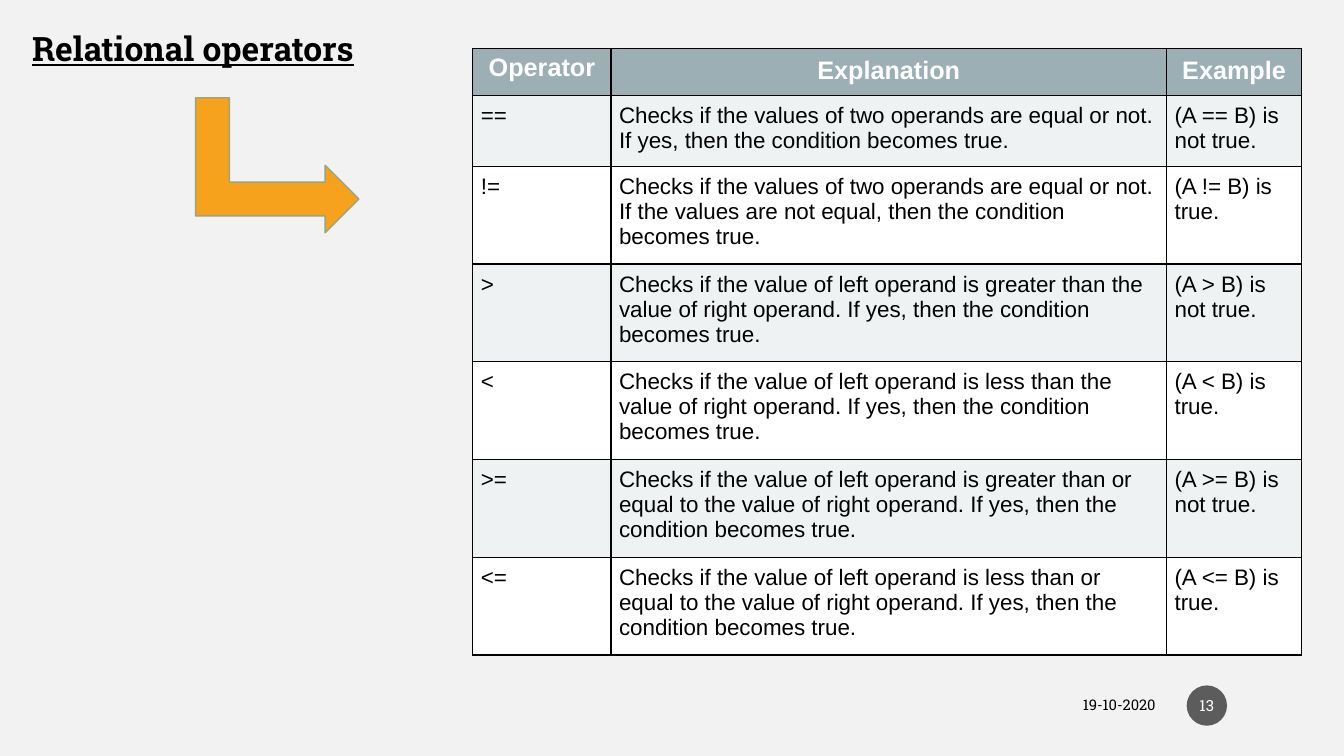
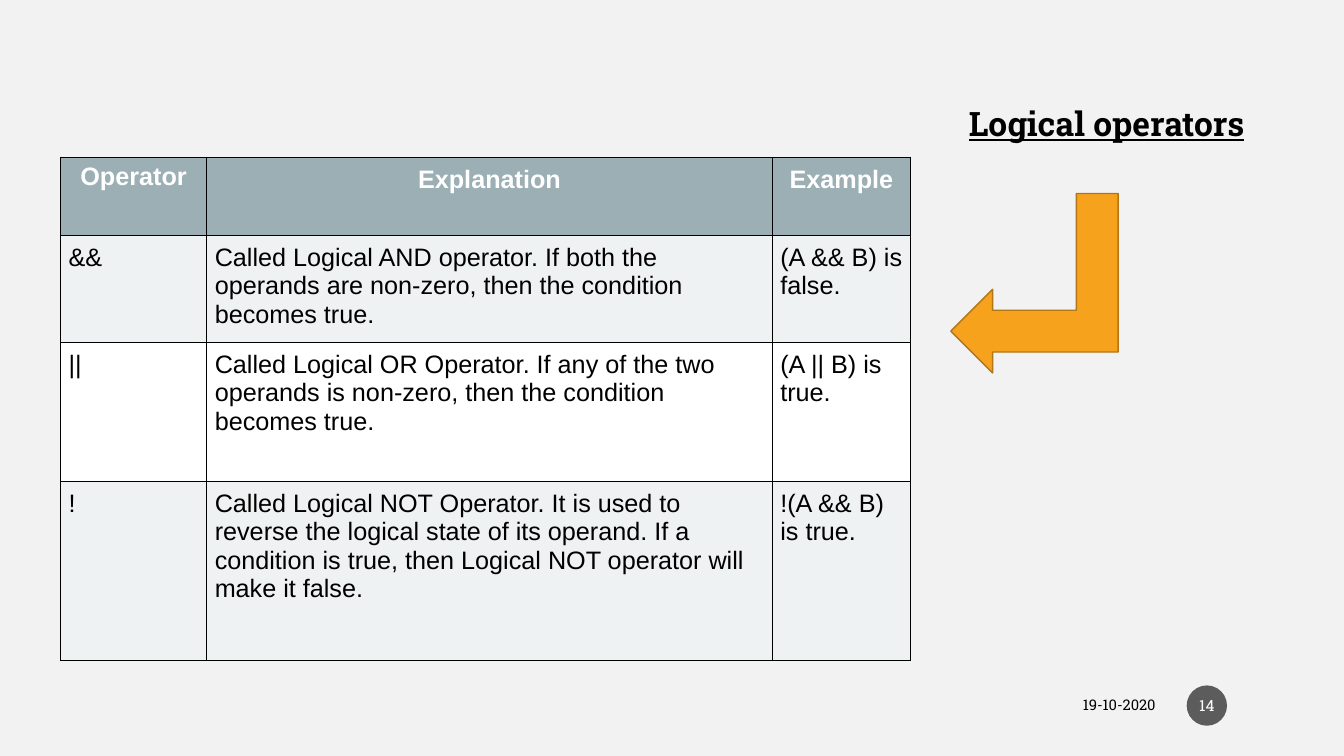
from lxml import etree
from pptx import Presentation
from pptx.dml.color import RGBColor
from pptx.enum.shapes import MSO_SHAPE
from pptx.enum.text import MSO_ANCHOR, PP_ALIGN
from pptx.oxml.ns import qn
from pptx.util import Inches, Pt

# Colours, fonts and enum members
PAPER = RGBColor(0xF2, 0xF2, 0xF2)
BLACK = RGBColor(0x00, 0x00, 0x00)
WHITE = RGBColor(0xFF, 0xFF, 0xFF)
BADGE = RGBColor(0x1D, 0x1D, 0x1D)
HEADER = RGBColor(0x9B, 0xAF, 0xB5)
BAND = RGBColor(0xEF, 0xF2, 0xF2)
ORANGE = RGBColor(0xF6, 0xA2, 0x1D)
SAGE = RGBColor(0x9C, 0xA3, 0x83)
BROWN = RGBColor(0xB3, 0x76, 0x15)
SLAB, SANS = "Roboto Slab", "Arial"
LEFT, CENTER, RIGHT = PP_ALIGN.LEFT, PP_ALIGN.CENTER, PP_ALIGN.RIGHT
TOP, MIDDLE = MSO_ANCHOR.TOP, MSO_ANCHOR.MIDDLE
OVAL = MSO_SHAPE.OVAL
BENT_ARROW, BENT_UP_ARROW = MSO_SHAPE.BENT_ARROW, MSO_SHAPE.BENT_UP_ARROW

HEADINGS = ("Operator", "Explanation", "Example")
DATE = "19-10-2020"


class Deck:
    def __init__(self):
        self.prs = Presentation()
        self.prs.slide_width, self.prs.slide_height = Inches(13.33), Inches(7.5)
        self.s = None

    def slide(self, number):
        self.s = self.prs.slides.add_slide(self.prs.slide_layouts[6])
        fill = self.s.background.fill
        fill.solid()
        fill.fore_color.rgb = PAPER
        self.footer(number)

    def set_text(self, tf, text, size, color, font=SLAB, bold=False, align=LEFT):
        tf.text = text
        p = tf.paragraphs[0]
        p.alignment = align
        f = p.runs[0].font
        f.size, f.name, f.bold = Pt(size), font, bold
        f.color.rgb = color
        return f

    def text(self, x, y, w, h, text, size, anchor=TOP, **style):
        tf = self.s.shapes.add_textbox(*map(Inches, (x, y, w, h))).text_frame
        tf.word_wrap = True
        tf.vertical_anchor = anchor
        return self.set_text(tf, text, size, BLACK, **style)

    def title(self, x, y, w, text):
        self.text(x, y, w, 0.5, text, 24, bold=True).underline = True

    def shape(self, kind, x, y, w, h, fill):
        sp = self.s.shapes.add_shape(kind, *map(Inches, (x, y, w, h)))
        sp.shadow.inherit = False
        sp.fill.solid()
        sp.fill.fore_color.rgb = fill
        return sp

    def footer(self, number):
        self.text(8.55, 6.82, 3.01, 0.35, DATE, 10.5, MIDDLE, align=RIGHT)
        sp = self.shape(OVAL, 11.77, 6.8, 0.4, 0.4, BADGE)
        sp.line.fill.background()
        color = sp.element.spPr.find(qn("a:solidFill"))[0]
        etree.SubElement(color, qn("a:alpha"), val="70000")
        tf = sp.text_frame
        tf.margin_left = tf.margin_right = Inches(0.02)
        tf.vertical_anchor = MIDDLE
        self.set_text(tf, str(number), 11, WHITE, align=CENTER)

    def arrow(self, kind, x, y, w, h, rotation, line, adjustments):
        sp = self.shape(kind, x, y, w, h, ORANGE)
        sp.rotation = rotation
        sp.line.color.rgb = line
        sp.line.width = Pt(1)
        for i, value in enumerate(adjustments):
            sp.adjustments[i] = value

    def cell(self, cell, text, fill, size, color, **style):
        cell.margin_left = cell.margin_right = Inches(0.08)
        cell.margin_top = cell.margin_bottom = Inches(0.08)
        tc_pr = cell._tc.get_or_add_tcPr()
        for side in ("lnL", "lnR", "lnT", "lnB"):
            ln = etree.SubElement(tc_pr, qn("a:" + side), w=str(int(Pt(1))))
            solid = etree.SubElement(ln, qn("a:solidFill"))
            etree.SubElement(solid, qn("a:srgbClr"), val=str(BLACK))
        cell.fill.solid()
        cell.fill.fore_color.rgb = fill
        self.set_text(cell.text_frame, text, size, color, SANS, **style)

    def table(self, x, y, widths, heights, rows, size):
        frame = self.s.shapes.add_table(
            len(heights), len(widths), Inches(x), Inches(y),
            Inches(sum(widths)), Inches(sum(heights)))
        table = frame.table
        table.horz_banding = False
        for column, width in zip(table.columns, widths):
            column.width = Inches(width)
        for row, height in zip(table.rows, heights):
            row.height = Inches(height)
        for c, heading in enumerate(HEADINGS):
            self.cell(table.cell(0, c), heading, HEADER, 18, WHITE,
                      bold=True, align=CENTER)
        # The first heading sits slightly higher than the others
        first = table.cell(0, 0)
        first.margin_left = first.margin_right = Inches(0.1)
        first.margin_top = first.margin_bottom = Inches(0.05)
        for r, values in enumerate(rows, 1):
            for c, value in enumerate(values):
                self.cell(table.cell(r, c), value, BAND if r % 2 else WHITE,
                          size, BLACK)


RELATIONAL = [
    ("==", "Checks if the values of two operands are equal or not. "
     "If yes, then the condition becomes true.", "(A == B) is not true."),
    ("!=", "Checks if the values of two operands are equal or not. "
     "If the values are not equal, then the condition becomes true.",
     "(A != B) is true."),
]
# The four comparisons share one sentence
RELATIONAL += [
    (sign, f"Checks if the value of left operand is {relation} the value of "
     "right operand. If yes, then the condition becomes true.",
     f"(A {sign} B) is {result}.")
    for sign, relation, result in (
        (">", "greater than", "not true"),
        ("<", "less than", "true"),
        (">=", "greater than or equal to", "not true"),
        ("<=", "less than or equal to", "true"))
]
LOGICAL = [
    ("&&", "Called Logical AND operator. If both the operands are non-zero, "
     "then the condition becomes true.", "(A && B) is false."),
    ("||", "Called Logical OR Operator. If any of the two operands is "
     "non-zero, then the condition becomes true.", "(A || B) is true."),
    ("!", "Called Logical NOT Operator. It is used to reverse the logical "
     "state of its operand. If a condition is true, then Logical NOT operator "
     "will make it false.", "!(A && B) is true."),
]


def main():
    deck = Deck()

    # Relational operators
    deck.slide(13)
    deck.title(0.22, 0.23, 3.76, "Relational operators")
    deck.table(4.69, 0.48, (1.37, 5.51, 1.34), [0.47, 0.7] + [0.97] * 5,
               RELATIONAL, 16)
    deck.arrow(BENT_UP_ARROW, 2.08, 0.83, 1.34, 1.62, 90, SAGE, [0.25] * 3)

    # Logical operators
    deck.slide(14)
    deck.table(0.6, 1.56, (1.45, 5.61, 1.37), (0.78, 0.99, 1.38, 1.77),
               LOGICAL, 18)
    deck.title(9.51, 0.97, 3.22, "Logical operators")
    deck.arrow(BENT_ARROW, 9.43, 1.92, 1.66, 1.78, 180, BROWN,
               [0.25] * 3 + [0])

    deck.prs.save("out.pptx")


if __name__ == "__main__":
    main()
